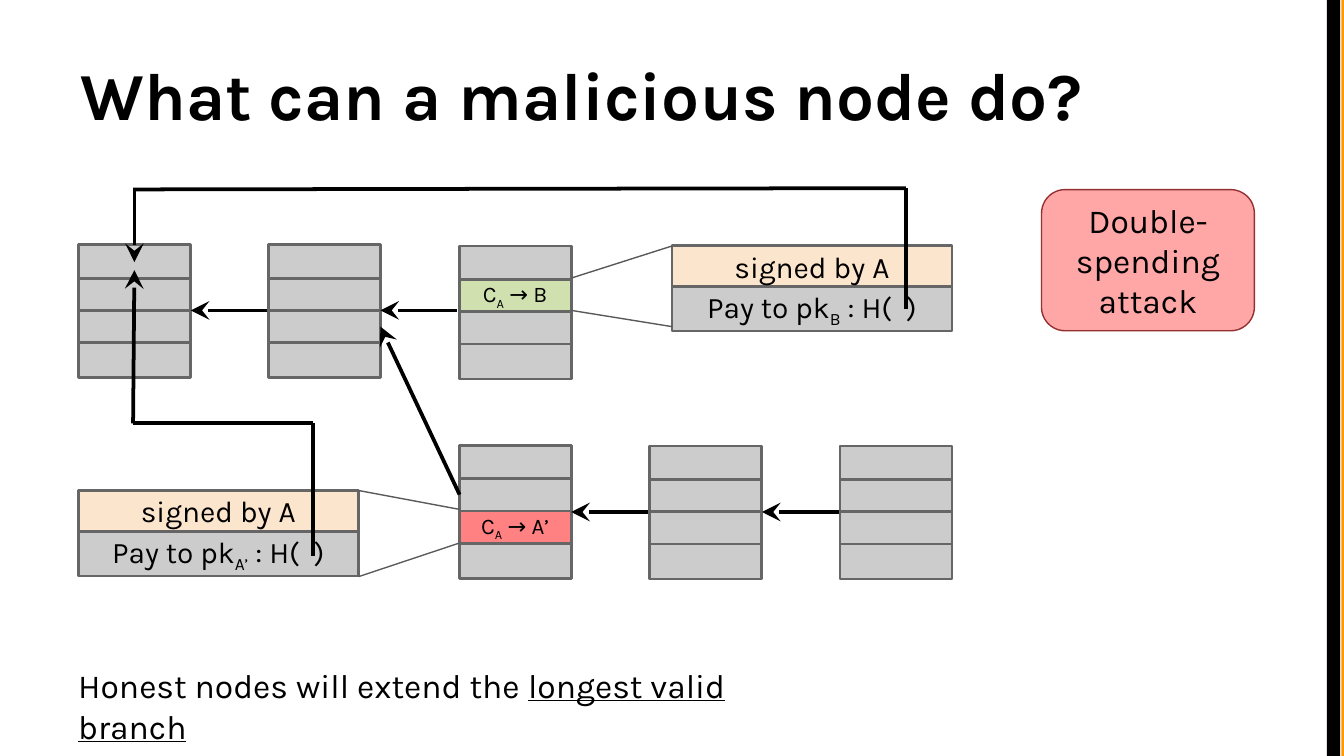
import pptx
import pptx.chart.data
import pptx.dml.color
import pptx.enum.shapes
import pptx.enum.text
import pptx.oxml.ns
import pptx.util
from lxml import etree

Pt = pptx.util.Pt
SHAPE = pptx.enum.shapes.MSO_SHAPE
ALIGN = pptx.enum.text.PP_ALIGN
ANCHOR = pptx.enum.text.MSO_ANCHOR

COLORS = {
    "black": "000000", "orange": "FF9900", "gray": "CCCCCC", "edge": "666666",
    "green": "D1E0AF", "red": "FF8181", "peach": "FCE5CD", "guide": "595959",
    "pink": "FFA7A7", "maroon": "952F30",
}
FONT = "Karla"
TITLE = "What can a malicious node do?"
ATTACK = "Double-spending attack"
FOOTER = [("Honest nodes will extend the ", ""), ("longest valid branch", "under")]

BLOCK_LEFT, BLOCK_STEP, BLOCK_WIDTH = 42, 102, 60
ROW_HEIGHTS = [18, 17.25, 17.25, 18.75]
BLOCKS = [
    (0, 131.2, {}),
    (1, 131.2, {}),
    (2, 131.8, {1: ("green", [("C", ""), ("A", "sub"), (" → B", "")])}),
    (2, 238.5, {2: ("red", [("C", ""), ("A", "sub"), (" → A’", "")])}),
    (3, 239, {}),
    (4, 239, {}),
]
TRANSACTIONS = [(360, 131.6, "B"), (42, 262.8, "A’")]
TRANSACTION_WIDTH, SIGNED_HEIGHT, PAY_HEIGHT = 150, 22, 23.8

BLOCK_LINKS = [
    ((143.3, 166.3), (102.2, 166.3)),
    ((244.8, 166.3), (203.8, 166.3)),
    ((246.2, 265), (203.8, 175)),
    ((347, 274.3), (306, 274.3)),
    ((449.3, 274.3), (408.2, 274.3)),
]
ZOOM_GUIDES = [
    ((306, 149), (360, 131.8)),
    ((306, 166.3), (360, 175)),
    ((192.2, 262.8), (246.2, 272.9)),
    ((192.2, 308.9), (246.2, 290.9)),
]
HASH_PATHS = [
    [((485.3, 165.6), (485.3, 100.8)), ((485.3, 100.8), (71.3, 101.5)),
     ((72, 100.8), (72, 140.4))],
    [((167.8, 298), (167.8, 226.8)), ((167.8, 226.8), (71.3, 226.8)),
     ((71.3, 226.8), (72, 144.7))],
]


def rgb(name):
    return pptx.dml.color.RGBColor.from_string(COLORS[name])


def write(box, spans, size, align=ALIGN.CENTER, anchor=ANCHOR.MIDDLE, inset=7.2, bold=False):
    frame = box.text_frame
    frame.word_wrap = True
    frame.auto_size = pptx.enum.text.MSO_AUTO_SIZE.NONE
    frame.vertical_anchor = anchor
    frame.margin_left = frame.margin_right = Pt(7.2)
    frame.margin_top = frame.margin_bottom = Pt(inset)
    para = frame.paragraphs[0]
    para.alignment = align
    for text, style in spans:
        span = para.add_run()
        span.text = text
        span.font.name = FONT
        span.font.size = Pt(size)
        span.font.bold = bold
        span.font.color.rgb = rgb("black")
        if style == "under":
            span.font.underline = True
        if style == "sub":
            span.font._element.set("baseline", "-25000")


def add_box(shapes, place, fill, edge="edge", weight=1.5, kind=SHAPE.RECTANGLE):
    box = shapes.add_shape(kind, *map(Pt, place))
    box.shadow.inherit = False
    box.fill.solid()
    box.fill.fore_color.rgb = rgb(fill)
    if edge:
        box.line.color.rgb = rgb(edge)
        box.line.width = Pt(weight)
    else:
        box.line.fill.background()
    return box


def add_line(page, ends, color="black", weight=2, arrow=False):
    start, end = ends
    line = page.shapes.add_connector(
        pptx.enum.shapes.MSO_CONNECTOR.STRAIGHT, *map(Pt, start + end))
    line.line.color.rgb = rgb(color)
    line.line.width = Pt(weight)
    if arrow:
        tip = etree.SubElement(line.line._get_or_add_ln(), pptx.oxml.ns.qn("a:tailEnd"))
        tip.set("type", "stealth")
        tip.set("w", "lg")
        tip.set("len", "lg")
    etree.SubElement(line._element.spPr, pptx.oxml.ns.qn("a:effectLst"))


def add_block(page, column, top, labels):
    group = page.shapes.add_group_shape()
    left = BLOCK_LEFT + column * BLOCK_STEP
    for row, height in enumerate(ROW_HEIGHTS):
        fill, spans = labels.get(row, ("gray", []))
        cell = add_box(group.shapes, (left, top, BLOCK_WIDTH, height), fill)
        if spans:
            write(cell, spans, 12)
        top += height


def add_transaction(page, left, top, owner):
    group = page.shapes.add_group_shape()
    pay = add_box(group.shapes, (left, top + SIGNED_HEIGHT, TRANSACTION_WIDTH, PAY_HEIGHT), "gray")
    write(pay, [("Pay to pk", ""), (owner, "sub"), (" : H(  )", "")], 16)
    signed = add_box(group.shapes, (left, top, TRANSACTION_WIDTH, SIGNED_HEIGHT), "peach")
    write(signed, [("signed by A", "")], 16)


def main():
    deck = pptx.Presentation()
    deck.slide_width, deck.slide_height = Pt(720), Pt(405)
    page = deck.slides.add_slide(deck.slide_layouts[5])

    title = page.shapes.title
    title.left, title.top, title.width, title.height = map(Pt, (36, 16.2, 648, 67.5))
    write(title, [(TITLE, "")], 36, ALIGN.LEFT, bold=True)

    add_box(page.shapes, (718.6, 0, 1.4, 405), "orange", None)
    add_box(page.shapes, (710.8, 0, 7.2, 405), "black", None)

    for block in BLOCKS:
        add_block(page, *block)
    for link in BLOCK_LINKS:
        add_line(page, link, arrow=True)
    for transaction in TRANSACTIONS:
        add_transaction(page, *transaction)
    for guide in ZOOM_GUIDES:
        add_line(page, guide, "guide", 0.75)
    for segments in HASH_PATHS:
        for segment in segments:
            add_line(page, segment, arrow=segment is segments[-1])

    attack = add_box(page.shapes, (558, 101.6, 114, 75.6), "pink", "maroon", 0.75,
                     SHAPE.ROUNDED_RECTANGLE)
    write(attack, [(ATTACK, "")], 18, inset=3.6)

    footer = page.shapes.add_textbox(*map(Pt, (34.8, 352.8, 422, 28.8)))
    write(footer, FOOTER, 18, ALIGN.LEFT, ANCHOR.TOP, 3.6)

    deck.save("out.pptx")


if __name__ == "__main__":
    main()
